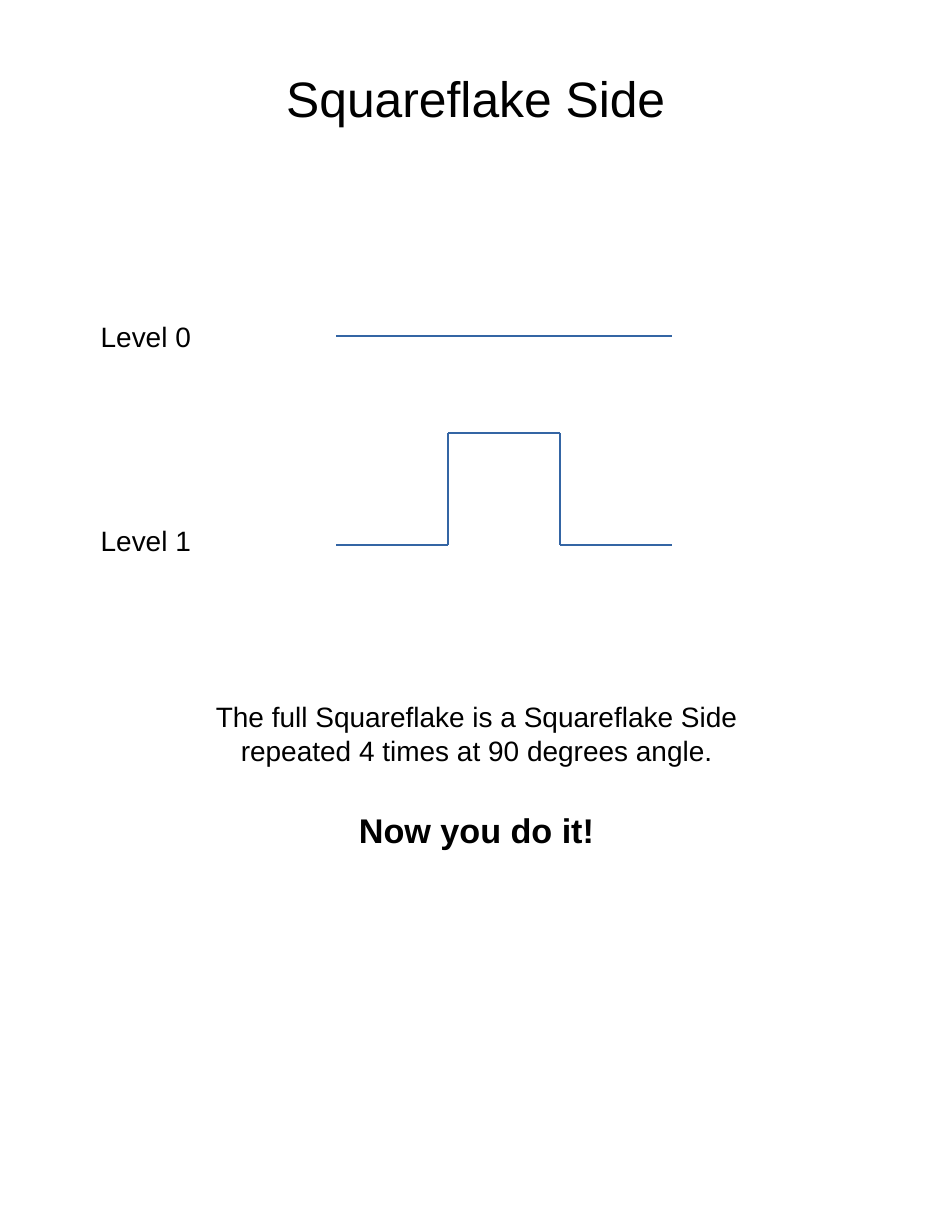
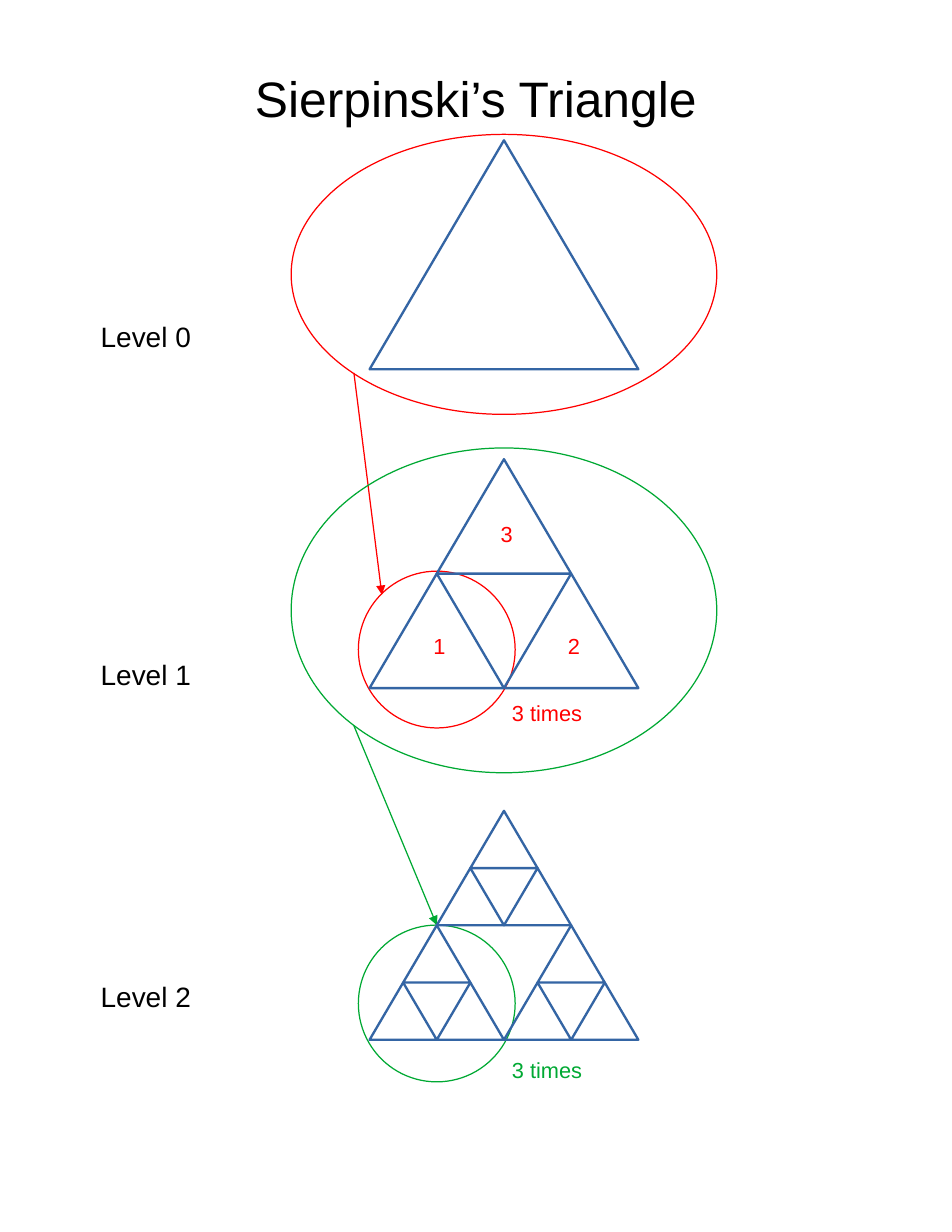
"""Build two handout pages on the Squareflake Side and Sierpinski's Triangle."""
from dataclasses import dataclass
from itertools import pairwise, product

from lxml import etree
from pptx import Presentation
from pptx import util as u
from pptx.dml.color import RGBColor
from pptx.enum import shapes, text
from pptx.oxml.ns import qn


@dataclass(frozen=True)
class Theme:
    font: str = "Arial"
    ink: RGBColor = RGBColor(0, 0, 0)
    blue: RGBColor = RGBColor(0x34, 0x65, 0xA4)
    red: RGBColor = RGBColor(0xFF, 0, 0)
    green: RGBColor = RGBColor(0, 0xA9, 0x33)
    title: int = 32
    call: int = 22
    body: int = 18
    note: int = 14
    figure_line: float = 1.5
    zoom_line: float = 0.79


theme = Theme()


def add_text(page, lines, left, top, width, height, size, color, align=text.PP_ALIGN.LEFT):
    box = page.shapes.add_textbox(u.Pt(left), u.Pt(top), u.Pt(width), u.Pt(height))
    frame = box.text_frame
    frame.word_wrap = False
    frame.auto_size = text.MSO_AUTO_SIZE.SHAPE_TO_FIT_TEXT
    frame.text = lines
    for para in frame.paragraphs:
        para.alignment = align
        para.font.name, para.font.size = theme.font, u.Pt(size)
        para.font.color.rgb = color
    return frame


def add_line(page, start, end, color, width):
    points = [u.Pt(value) for value in (*start, *end)]
    line = page.shapes.add_connector(shapes.MSO_CONNECTOR.STRAIGHT, *points)
    line.line.color.rgb, line.line.width = color, u.Pt(width)
    etree.SubElement(line._element.spPr, qn("a:effectLst"))
    return line


deck = Presentation()
deck.slide_width, deck.slide_height = u.Pt(612), u.Pt(792)
pages = []
for heading in ("Squareflake Side", "Sierpinski’s Triangle"):
    page = deck.slides.add_slide(deck.slide_layouts[5])
    title = page.shapes.title
    title.left, title.top, title.width, title.height = map(u.Pt, (30.6, 31.68, 550.8, 61.92))
    frame = title.text_frame
    frame.text = heading
    frame.vertical_anchor = text.MSO_ANCHOR.MIDDLE
    frame.margin_left = frame.margin_right = frame.margin_top = frame.margin_bottom = 0
    para = frame.paragraphs[0]
    para.alignment = text.PP_ALIGN.CENTER
    para.font.name, para.font.size = theme.font, u.Pt(theme.title)
    para.font.color.rgb = theme.ink
    pages.append(page)
flake_page, triangle_page = pages

for page, tops in ((flake_page, (201.6, 333)), (triangle_page, (201.6, 419.04, 626.4))):
    for level, top in enumerate(tops):
        add_text(page, f"Level {level}", 57.6, top, 74, 27.36, theme.body, theme.ink)

side = 72
left, base = 216, 350.4
level_zero = [(left, 216), (left + 3 * side, 216)]
level_one = [(left + across * side, base - up * side)
             for across, up in ((0, 0), (1, 0), (1, 1), (2, 1), (2, 0), (3, 0))]
for outline in (level_zero, level_one):
    for start, end in pairwise(outline):
        add_line(flake_page, start, end, theme.blue, theme.figure_line)

closing = add_text(
    flake_page,
    "The full Squareflake is a Squareflake Side\n"
    "repeated 4 times at 90 degrees angle.\nNow you do it!",
    128.36, 446.4, 356, 96.48, theme.body, theme.ink, text.PP_ALIGN.CENTER)
call = closing.paragraphs[-1]
call.font.size, call.font.bold = u.Pt(theme.call), True
call.space_before = u.Pt(27)

zooms = (
    (theme.red, (187.2, 86.4, 273.6, 180), (230.4, 367.2, 100.8, 100.8),
     (227.52, 239.76), (245.52, 382.32), 1, 446.4),
    (theme.green, (187.2, 288, 273.6, 208.8), (230.4, 594.72, 100.8, 100.8),
     (227.52, 466.56), (280.8, 594.72), 0, 675.8),
)
for color, whole, part, start, end, end_site, note_top in zooms:
    rings = []
    for place in (whole, part):
        ring = triangle_page.shapes.add_shape(shapes.MSO_SHAPE.OVAL, *map(u.Pt, place))
        ring.shadow.inherit = False
        ring.fill.background()
        ring.line.color.rgb, ring.line.width = color, u.Pt(theme.zoom_line)
        rings.append(ring)
    arrow = add_line(triangle_page, start, end, color, theme.zoom_line)
    arrow.begin_connect(rings[0], 3)
    arrow.end_connect(rings[1], end_site)
    arrow.begin_x, arrow.begin_y = map(u.Pt, start)
    arrow.end_x, arrow.end_y = map(u.Pt, end)
    etree.SubElement(arrow._element.spPr.find(qn("a:ln")), qn("a:tailEnd"), type="triangle")
    add_text(triangle_page, "3 times", 322, note_top, 60, 23.04, theme.note, color)

corners = ((0, 1), (1, 1), (0.5, 0))
left, width, height = 237.6, 172.8, 147.2
for level, top in enumerate((90.2, 295.2, 521.28)):
    holder = triangle_page.shapes
    for index, route in enumerate(product(corners, repeat=level)):
        if level == 2 and index % 3 == 0:
            holder = triangle_page.shapes.add_group_shape().shapes
        across = sum(x / 2 ** depth for depth, (x, y) in enumerate(route, 1))
        down = sum(y / 2 ** depth for depth, (x, y) in enumerate(route, 1))
        triangle = holder.add_shape(
            shapes.MSO_SHAPE.ISOSCELES_TRIANGLE,
            u.Pt(left + across * width), u.Pt(top + down * height),
            u.Pt(width / 2 ** level), u.Pt(height / 2 ** level))
        triangle.shadow.inherit = False
        triangle.fill.background()
        triangle.line.color.rgb, triangle.line.width = theme.blue, u.Pt(theme.figure_line)

for number, (x, y) in enumerate(corners, 1):
    add_text(triangle_page, str(number), 271.6 + x * width / 2, 331.2 + y * 72,
             23.76, 23.04, theme.note, theme.red)

deck.save("out.pptx")
